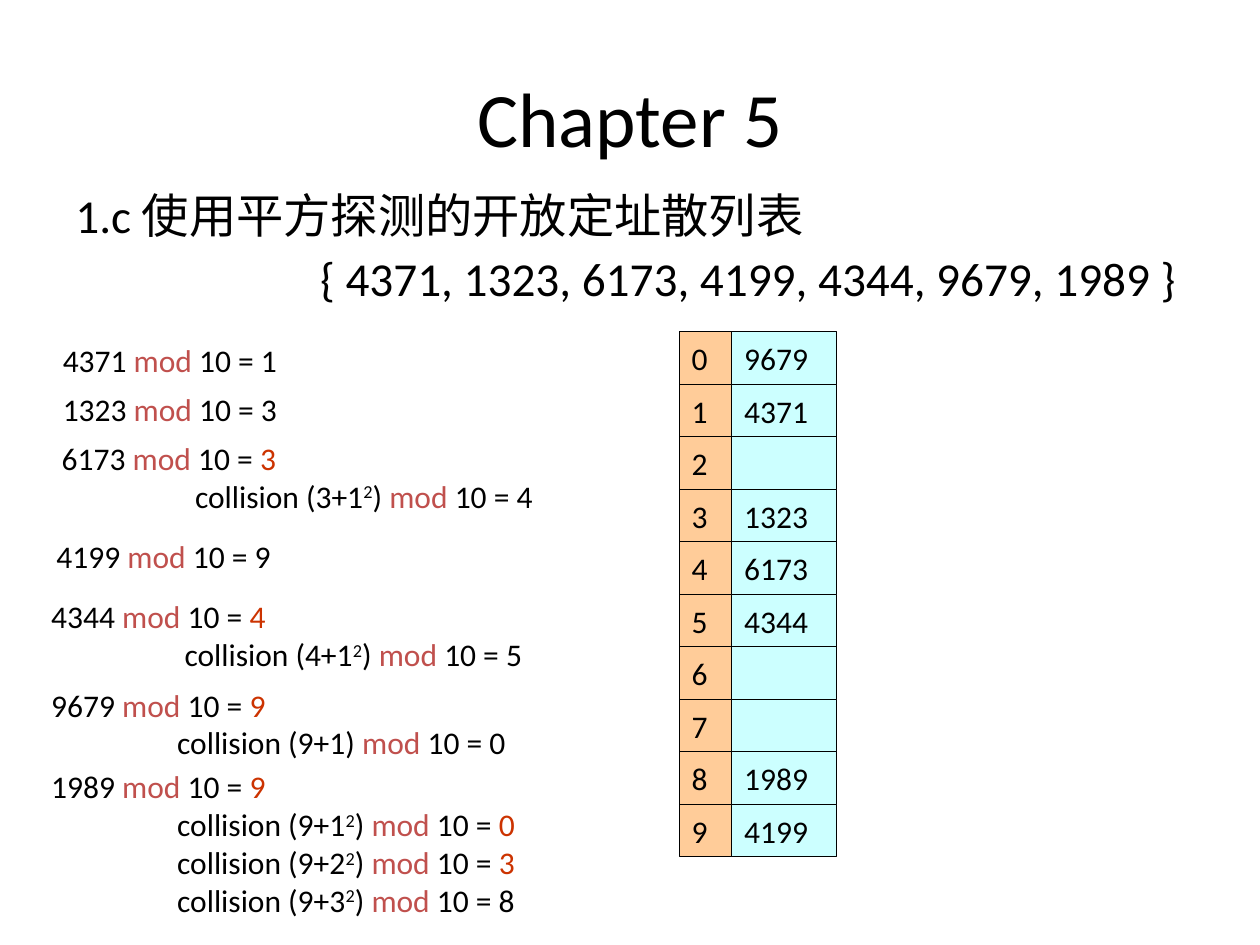
"""Build a slide on quadratic probing in an open addressing hash table."""
from pptx import Presentation, util as u
from pptx.dml.color import RGBColor
from pptx.enum import shapes, text

PX = 7620
THEME = {
    "font": "Calibri", "title": 44, "body": 27, "step": 18,
    "ink": "000000", "mod": "C0504D", "clash": "CC3300",
    "key": "CCFFFF", "index": "FFCC99", "line": 0.75,
}
TITLE = "Chapter 5"
TITLE_BOX = (60, 36, 1080, 150)
BODY = [("1.c 使用平方探测的开放定址散列表", 0),
        ("{ 4371, 1323, 6173, 4199, 4344, 9679, 1989 }", 233)]
BODY_BOX = (60, 178, 1080, 131)
STEPS = [
    (48, 319, 228, 0, [("4371", "1", "ink")]),
    (48, 366, 228, 0, [("1323", "3", "ink")]),
    (47, 412, 506, 127, [("6173", "3", "clash"),
                         ("collision (3+1^2)", "4", "ink")]),
    (42, 506, 228, 0, [("4199", "9", "ink")]),
    (37, 563, 506, 127, [("4344", "4", "clash"),
                         ("collision (4+1^2)", "5", "ink")]),
    (37, 647, 506, 120, [("9679", "9", "clash"),
                         ("collision (9+1)", "0", "ink")]),
    (37, 725, 497, 120, [("1989", "9", "clash"),
                         ("collision (9+1^2)", "0", "clash"),
                         ("collision (9+2^2)", "3", "clash"),
                         ("collision (9+3^2)", "8", "ink")]),
]
HASH_TABLE = ["9679", "4371", "", "1323", "6173", "4344", "", "", "1989", "4199"]
TABLE_LEFT, TABLE_TOP, CELL = 647, 316, 50
PAD, LINE_HEIGHT = 6, 36


def px(*values):
    return [u.Emu(value * PX) for value in values]


def add_span(para, words, size, colour="ink", raised=False):
    span = para.add_run()
    span.text = words
    formats = {"name": THEME["font"], "size": u.Pt(THEME[size])}
    for name, value in formats.items():
        setattr(span.font, name, value)
    span.font.color.rgb = RGBColor.from_string(THEME[colour])
    if raised:
        span.font._element.set("baseline", "30000")


def add_para(frame, number, indent=0):
    para = frame.add_paragraph() if number else frame.paragraphs[0]
    para.alignment = text.PP_ALIGN.LEFT
    if indent:
        para._p.get_or_add_pPr().set("marL", str(indent * PX))
    return para


def add_title(page):
    title = page.shapes.title
    for name, value in zip(("left", "top", "width", "height"), px(*TITLE_BOX)):
        setattr(title, name, value)
    title.text_frame.vertical_anchor = text.MSO_ANCHOR.MIDDLE
    para = title.text_frame.paragraphs[0]
    para.alignment = text.PP_ALIGN.CENTER
    add_span(para, TITLE, "title")


def add_body(page):
    frame = page.shapes.add_textbox(*px(*BODY_BOX)).text_frame
    frame.word_wrap = True
    for number, (words, indent) in enumerate(BODY):
        para = add_para(frame, number, indent)
        para.line_spacing = 0.9
        para.space_before = u.Pt(6.8 if number else 0)
        add_span(para, words, "body")


def add_step(page, left, top, width, indent, lines):
    height = 2 * PAD + LINE_HEIGHT * len(lines)
    frame = page.shapes.add_textbox(*px(left, top, width, height)).text_frame
    frame.word_wrap = len(lines) > 1
    frame.auto_size = text.MSO_AUTO_SIZE.SHAPE_TO_FIT_TEXT
    for number, (expression, result, colour) in enumerate(lines):
        para = add_para(frame, number, indent if number else 0)
        base, caret, rest = expression.partition("^")
        if caret:
            add_span(para, base, "step")
            add_span(para, rest[0], "step", raised=True)
            add_span(para, rest[1:] + " ", "step")
        else:
            add_span(para, base + " ", "step")
        add_span(para, "mod", "step", "mod")
        add_span(para, " 10 = ", "step")
        add_span(para, result, "step", colour)


def add_cell(group, left, top, width, words, fill):
    cell = group.shapes.add_shape(shapes.MSO_SHAPE.RECTANGLE,
                                  *px(left, top, width, CELL))
    cell.shadow.inherit = False
    cell.fill.solid()
    cell.fill.fore_color.rgb = RGBColor.from_string(THEME[fill])
    cell.line.color.rgb = RGBColor.from_string(THEME["ink"])
    cell.line.width = u.Pt(THEME["line"])
    if words:
        cell.text_frame.vertical_anchor = text.MSO_ANCHOR.MIDDLE
        add_span(add_para(cell.text_frame, 0), words, "step")


def main():
    deck = Presentation()
    deck.slide_width, deck.slide_height = px(1200, 900)
    page = deck.slides.add_slide(deck.slide_layouts[5])
    add_title(page)
    add_body(page)
    for step in STEPS:
        add_step(page, *step)
    for index, key in enumerate(HASH_TABLE):
        group = page.shapes.add_group_shape()
        top = TABLE_TOP + index * CELL
        add_cell(group, TABLE_LEFT + CELL, top, 2 * CELL, key, "key")
        add_cell(group, TABLE_LEFT, top, CELL, str(index), "index")
    deck.save("out.pptx")


if __name__ == "__main__":
    main()
